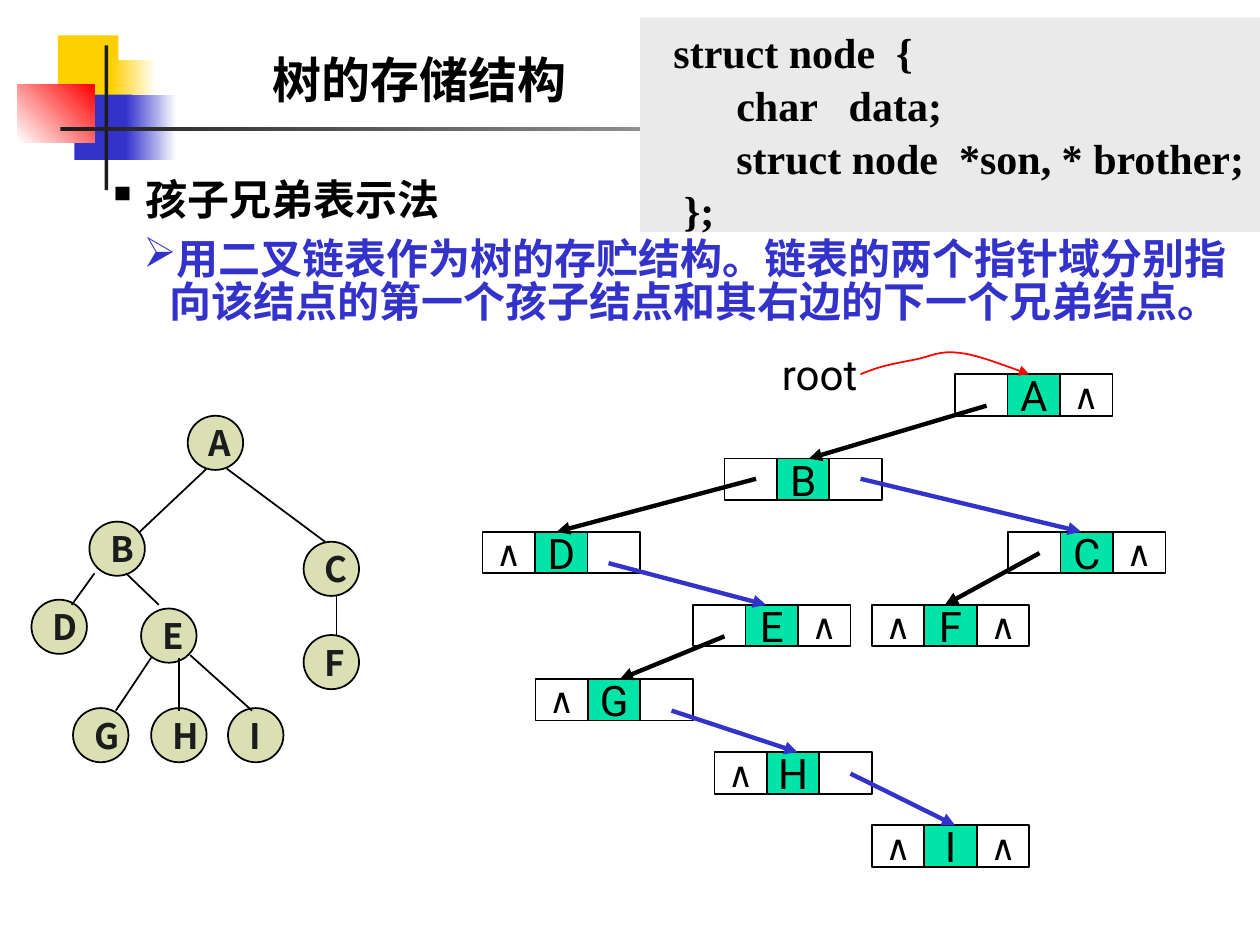
"""Builds a slide on storing a tree as linked child and sibling pointers."""
from typing import NamedTuple, Optional

from lxml.etree import SubElement
from pptx import Presentation
from pptx.dml.color import RGBColor
from pptx.enum.shapes import MSO_CONNECTOR, MSO_SHAPE
from pptx.enum.text import MSO_ANCHOR, PP_ALIGN
from pptx.oxml.ns import qn
from pptx.util import Inches, Pt

BLACK, DARK, BLUE, WHITE = "000000", "1C1C1C", "3333CC", "FFFFFF"
CJK, SANS, SERIF = "Noto Sans CJK SC", "Roboto", "Times New Roman"
CELL_W, CELL_H = 5 / 12, 0.33
NULL = "∧"


class Block(NamedTuple):
    left: float
    top: float
    width: float
    height: float
    color: str
    fade_to: Optional[str] = None
    angle: int = 0


class TreeNode(NamedTuple):
    letter: str
    left: float
    top: float


class ListNode(NamedTuple):
    letter: str
    left: float
    top: float
    son: str
    brother: str


class Link(NamedTuple):
    x1: float
    y1: float
    x2: float
    y2: float
    color: str = BLACK


BLOCKS = [
    Block(0.46, 0.28, 0.48, 0.52, "FFCF01"),
    Block(0.88, 0.48, 0.36, 0.52, "FFCF01", WHITE),
    Block(0.59, 0.75, 0.46, 0.52, BLUE),
    Block(1, 0.75, 0.4, 0.52, BLUE, WHITE),
    Block(0.14, 0.67, 0.61, 0.46, WHITE, "FF0000", 45),
    Block(0.83, 0.36, 0.03, 1.15, DARK),
    Block(0.48, 1.01, 9, 0.03, DARK, WHITE),
]
TREE_NODES = [
    TreeNode("I", 1.81, 5.62), TreeNode("A", 1.49, 3.3), TreeNode("C", 2.41, 4.3),
    TreeNode("B", 0.71, 4.14), TreeNode("H", 1.2, 5.62), TreeNode("G", 0.58, 5.62),
    TreeNode("F", 2.41, 5.04), TreeNode("E", 1.12, 4.83), TreeNode("D", 0.25, 4.76),
]
TREE_EDGES = [
    Link(1.64, 3.72, 1.11, 4.22), Link(0.75, 4.55, 0.57, 4.8),
    Link(1, 4.55, 1.26, 4.8), Link(1.8, 3.72, 2.58, 4.3),
    Link(1.2, 5.22, 0.92, 5.64), Link(1.51, 5.2, 2, 5.64),
    Link(1.42, 5.22, 1.42, 5.64), Link(2.67, 4.72, 2.67, 5.05),
]
LIST_NODES = [
    ListNode("A", 7.58, 2.97, "", NULL), ListNode("B", 5.75, 3.64, "", ""),
    ListNode("F", 6.92, 4.8, NULL, NULL), ListNode("D", 3.83, 4.22, NULL, ""),
    ListNode("C", 8, 4.22, "", NULL), ListNode("E", 5.5, 4.8, "", NULL),
    ListNode("G", 4.25, 5.39, NULL, ""), ListNode("H", 5.67, 5.97, NULL, ""),
    ListNode("I", 6.92, 6.55, NULL, NULL),
]
POINTERS = [
    Link(7.83, 3.22, 6.42, 3.64), Link(6, 3.8, 4.42, 4.22),
    Link(6.83, 3.8, 8.58, 4.22, BLUE), Link(4.83, 4.47, 6.08, 4.8, BLUE),
    Link(5.75, 5.05, 4.92, 5.39), Link(5.33, 5.64, 6.33, 5.97, BLUE),
    Link(6.75, 6.14, 7.58, 6.55, BLUE), Link(8.25, 4.39, 7.5, 4.8),
]
ROOT_START = (6.83, 2.97)
ROOT_CURVES = [
    ((6.88, 2.95), (6.93, 2.93), (7, 2.91)),
    ((7.07, 2.89), (7.18, 2.87), (7.28, 2.85)),
    ((7.38, 2.83), (7.46, 2.78), (7.61, 2.8)),
    ((7.76, 2.81), (8.07, 2.94), (8.17, 2.97)),
]
CODE = """  struct node  {
        char   data;
        struct node  *son, * brother;
   };"""
POINTS = [
    ("孩子兄弟表示法", "▪", BLACK, 0.31, 0.31),
    ("用二叉链表作为树的存贮结构。链表的两个指针域分别指向该结点的第一个孩子结点和其右边的下一个兄弟结点。",
     "➢", BLUE, 0.5, 0.21),
]


def rgb(color: str) -> RGBColor:
    return RGBColor.from_string(color)


def style(p, size: float, font: str, color: str, bold: bool = False) -> None:
    for r in p.runs:
        r.font.size, r.font.name, r.font.bold = Pt(size), font, bold
        r.font.color.rgb = rgb(color)
        SubElement(r._r.rPr, qn("a:ea"), typeface=CJK)


def add_box(s, kind, left, top, width, height, fill=None, line=None):
    sp = s.shapes.add_shape(kind, Inches(left), Inches(top), Inches(width), Inches(height))
    sp.shadow.inherit = False
    if fill:
        sp.fill.solid()
        sp.fill.fore_color.rgb = rgb(fill)
    else:
        sp.fill.background()
    if line:
        sp.line.color.rgb, sp.line.width = rgb(line), Pt(1)
    else:
        sp.line.fill.background()
    return sp


def add_text(s, left, top, width, height, text=""):
    sp = s.shapes.add_textbox(Inches(left), Inches(top), Inches(width), Inches(height))
    sp.text_frame.word_wrap = True
    sp.text_frame.text = text
    return sp.text_frame


def add_block(s, b: Block) -> None:
    sp = add_box(s, MSO_SHAPE.RECTANGLE, *b[:5])
    if b.fade_to:
        sp.fill.gradient()
        sp.fill.gradient_angle = b.angle
        for stop, color in zip(sp.fill.gradient_stops, (b.color, b.fade_to)):
            stop.color.rgb = rgb(color)


def add_tree_node(s, n: TreeNode) -> None:
    add_box(s, MSO_SHAPE.OVAL, n.left, n.top, 0.44, 0.43, "DBE0B4", BLACK)
    tf = add_text(s, n.left + 0.07, n.top, 0.44, 0.44, n.letter)
    style(tf.paragraphs[0], 20, CJK, DARK, True)


def add_list_node(s, n: ListNode) -> None:
    cells = [(n.son, 20, None), (n.letter, 24, "00E4A8"), (n.brother, 20, None)]
    for i, (text, size, fill) in enumerate(cells):
        sp = add_box(s, MSO_SHAPE.RECTANGLE, n.left + i * CELL_W, n.top, CELL_W, CELL_H, fill, BLACK)
        if text:
            tf = sp.text_frame
            tf.text, tf.word_wrap, tf.vertical_anchor = text, False, MSO_ANCHOR.MIDDLE
            p = tf.paragraphs[0]
            p.alignment = PP_ALIGN.CENTER
            style(p, size, SANS, BLACK)


def add_arrowhead(sp) -> None:
    SubElement(sp.line._get_or_add_ln(), qn("a:tailEnd"), type="triangle")


def add_link(s, link: Link, width: float, arrow: bool) -> None:
    c = s.shapes.add_connector(MSO_CONNECTOR.STRAIGHT, *map(Inches, link[:4]))
    c.line.color.rgb, c.line.width = rgb(link.color), Pt(width)
    SubElement(c._element.spPr, qn("a:effectLst"))
    if arrow:
        add_arrowhead(c)


def add_root_curve(s, steps: int = 8) -> None:
    points, a = [], ROOT_START
    for b, c, d in ROOT_CURVES:
        for t in (i / steps for i in range(1, steps + 1)):
            u = 1 - t
            points.append(tuple(
                Inches(u**3 * a[k] + 3 * u * u * t * b[k] + 3 * u * t * t * c[k] + t**3 * d[k])
                for k in (0, 1)))
        a = d
    builder = s.shapes.build_freeform(*map(Inches, ROOT_START))
    builder.add_line_segments(points, close=False)
    sp = builder.convert_to_shape()
    sp.shadow.inherit = False
    sp.fill.background()
    sp.line.color.rgb, sp.line.width = rgb("FF0000"), Pt(1)
    add_arrowhead(sp)


def add_points(s) -> None:
    tf = add_text(s, 0.75, 1.39, 9, 1.43)
    tf.margin_right = 0
    for i, (text, bullet, color, margin, hang) in enumerate(POINTS):
        p = tf.add_paragraph() if i else tf.paragraphs[0]
        p.text, p.line_spacing = text, 0.85
        if i:
            p.space_before = Pt(9)
        pPr = p._p.get_or_add_pPr()
        pPr.set("marL", str(Inches(margin)))
        pPr.set("indent", str(-Inches(hang)))
        SubElement(SubElement(pPr, qn("a:buClr")), qn("a:srgbClr"), val=color)
        SubElement(pPr, qn("a:buChar"), char=bullet)
        style(p, 24, CJK, color, True)


def add_code(s) -> None:
    tf = add_box(s, MSO_SHAPE.RECTANGLE, 5.08, 0.14, 4.92, 1.7, "EAEAEA").text_frame
    tf.text, tf.word_wrap, tf.vertical_anchor = CODE, True, MSO_ANCHOR.TOP
    for p in tf.paragraphs:
        p.alignment, p.line_spacing = PP_ALIGN.LEFT, 1.05
        style(p, 24, SERIF, BLACK, True)


def add_label(s, text, left, top, width, height, size, bold, anchor) -> None:
    tf = add_text(s, left, top, width, height, text)
    tf.vertical_anchor = anchor
    tf.paragraphs[0].alignment = PP_ALIGN.CENTER
    style(tf.paragraphs[0], size, SANS, BLACK, bold)


def main() -> None:
    prs = Presentation()
    prs.slide_width, prs.slide_height = Inches(10), Inches(7.5)
    s = prs.slides.add_slide(prs.slide_layouts[6])
    for block in BLOCKS:
        add_block(s, block)
    add_points(s)
    add_code(s)
    add_label(s, "树的存储结构", 1.26, 0.23, 4.14, 0.68, 28, True, MSO_ANCHOR.BOTTOM)
    for node in TREE_NODES:
        add_tree_node(s, node)
    for edge in TREE_EDGES:
        add_link(s, edge, 1, False)
    for node in LIST_NODES:
        add_list_node(s, node)
    for pointer in POINTERS:
        add_link(s, pointer, 2.5, True)
    add_label(s, "root", 5.92, 2.72, 1.17, 0.5, 24, False, MSO_ANCHOR.TOP)
    add_root_curve(s)
    prs.save("out.pptx")


if __name__ == "__main__":
    main()
